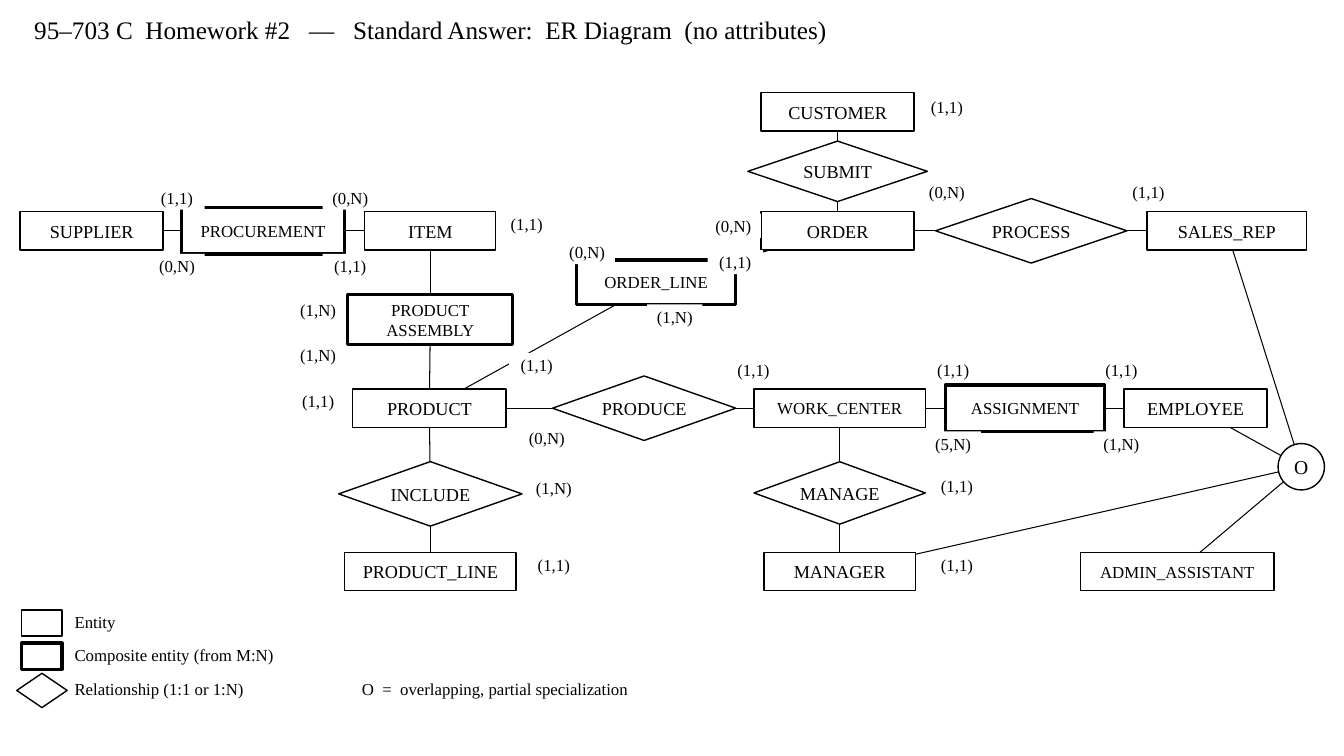
import pptx
import pptx.dml.color
import pptx.enum.shapes
import pptx.enum.text
import pptx.oxml.ns
import pptx.util
from lxml import etree

Pt = pptx.util.Pt
MSO_SHAPE = pptx.enum.shapes.MSO_SHAPE
MSO_ANCHOR = pptx.enum.text.MSO_ANCHOR
PP_ALIGN = pptx.enum.text.PP_ALIGN
INK, PAPER = "000000", "FFFFFF"
THIN, THICK, LINK = 1, 2.25, 0.75
RECT, DIAMOND, OVAL = MSO_SHAPE.RECTANGLE, MSO_SHAPE.DIAMOND, MSO_SHAPE.OVAL


def color(value):
    return pptx.dml.color.RGBColor.from_string(value)


class Diagram:
    font = "Times New Roman"

    def __init__(self, prs):
        self.s = prs.slides.add_slide(prs.slide_layouts[6])

    def set_text(self, sp, text, size, align, anchor, inset, wrap=True):
        tf = sp.text_frame
        tf.text = text
        tf.word_wrap = wrap
        tf.vertical_anchor = anchor
        tf.margin_left = tf.margin_right = Pt(inset[0])
        tf.margin_top = tf.margin_bottom = Pt(inset[1])
        for p in tf.paragraphs:
            p.alignment = align
            p.font.name = self.font
            p.font.size = Pt(size)
            p.font.color.rgb = color(INK)

    def text(self, x, y, w, h, text, size=12):
        sp = self.s.shapes.add_textbox(Pt(x), Pt(y), Pt(w), Pt(h))
        self.set_text(sp, text, size, PP_ALIGN.LEFT, MSO_ANCHOR.TOP, (2.9, 1.4))

    def shape(self, kind, cx, cy, w, h, line=None, text="", size=12, inset=(3.6, 1.4), wrap=True):
        sp = self.s.shapes.add_shape(kind, Pt(cx - w / 2), Pt(cy - h / 2), Pt(w), Pt(h))
        sp.shadow.inherit = False
        sp.fill.solid()
        sp.fill.fore_color.rgb = color(PAPER)
        if line:
            sp.line.color.rgb = color(INK)
            sp.line.width = Pt(line)
        else:
            sp.line.fill.background()
        if text:
            self.set_text(sp, text, size, PP_ALIGN.CENTER, MSO_ANCHOR.MIDDLE, inset, wrap)

    def entity(self, name, cx, cy, w, size=13):
        self.shape(RECT, cx, cy, w, 27.4, THIN, name, size)

    def composite(self, name, cx, cy, w, h):
        self.shape(RECT, cx, cy, w, h, THICK, name)

    def relationship(self, name, cx, cy, w, h):
        self.shape(DIAMOND, cx, cy, w, h, THIN, name, 13, (10.1, 1.4), False)

    def overlap(self, name, cx, cy, d):
        self.shape(OVAL, cx, cy, d, d, THIN, name, 14, (2.9, 1.4))

    def cardinality(self, text, x, y):
        w, h = 39.6, 17.3
        self.shape(RECT, x + w / 2, y + h / 2, w, h, text=text, inset=(0, 0), wrap=False)

    def link(self, start, end):
        ends = [Pt(v) for v in (*start, *end)]
        sp = self.s.shapes.add_connector(pptx.enum.shapes.MSO_CONNECTOR.STRAIGHT, *ends)
        sp.line.color.rgb = color(INK)
        sp.line.width = Pt(LINK)
        etree.SubElement(sp._element.spPr, pptx.oxml.ns.qn("a:effectLst"))


UPPER, MIDDLE, LOWER = 164.9, 291.6, 408.2

ENTITIES = {
    "SUPPLIER": (65.5, UPPER, 102.2),
    "ITEM": (307.4, UPPER, 93.6),
    "PRODUCT": (306.7, MIDDLE, 109.4),
    "PRODUCT_LINE": (307.4, LOWER, 122.4),
    "CUSTOMER": (598.3, 79.9, 109.4),
    "ORDER": (598.3, UPPER, 109.4),
    "SALES_REP": (876.2, UPPER, 113.8),
    "WORK_CENTER": (599.8, MIDDLE, 122.4, 12),
    "EMPLOYEE": (853.9, MIDDLE, 102.2),
    "MANAGER": (599.8, LOWER, 108),
    "ADMIN_ASSISTANT": (841, LOWER, 138.2, 12),
}
COMPOSITES = {
    "PROCUREMENT": (187.9, UPPER, 116.6, 33.1),
    "PRODUCT\nASSEMBLY": (307.4, 228.2, 118.1, 36),
    "ORDER_LINE": (468.7, 201.6, 113.8, 31.7),
    "ASSIGNMENT": (732.2, MIDDLE, 113.8, 33.1),
}
RELATIONSHIPS = {
    "INCLUDE": (307.4, 352.8, 131, 46.1),
    "SUBMIT": (598.3, 122.4, 128.2, 43.2),
    "PROCESS": (736.6, UPPER, 136.8, 46.1),
    "PRODUCE": (460.1, MIDDLE, 131, 46.1),
    "MANAGE": (599.8, 352.1, 122.4, 44.6),
}
OVERLAPS = {"O": (929.5, 333.4, 33.1)}

CHAINS = [
    ("SUPPLIER", "PROCUREMENT", "ITEM", "PRODUCT\nASSEMBLY", "PRODUCT", "INCLUDE", "PRODUCT_LINE"),
    ("CUSTOMER", "SUBMIT", "ORDER", "PROCESS", "SALES_REP"),
    ("ORDER", "ORDER_LINE", "PRODUCT", "PRODUCE", "WORK_CENTER", "ASSIGNMENT", "EMPLOYEE"),
    ("WORK_CENTER", "MANAGE", "MANAGER"),
    ("EMPLOYEE", "O", "SALES_REP"),
    ("MANAGER", "O", "ADMIN_ASSISTANT"),
]
CARDINALITIES = {
    "(1,1)": [
        (106.6, 132.5), (230.4, 181.4), (356.4, 151.2), (207.4, 277.9), (375.8, 394.6),
        (656.6, 67.7), (505.4, 178.6), (363.6, 252), (800.6, 128.2), (518.4, 255.6),
        (661, 255.6), (781.2, 255.6), (663.8, 338.4), (663.8, 394.6),
    ],
    "(0,N)": [
        (106.6, 181.4), (230.4, 132.5), (504, 152.6),
        (399.6, 171.4), (656.6, 128.2), (370.8, 303.8),
    ],
    "(1,N)": [
        (207.4, 212.4), (207.4, 244.8), (375.8, 339.8), (462.2, 217.4), (781.2, 308.2),
    ],
    "(5,N)": [(661, 308.2)],
}
LEGEND = [
    ("Entity", RECT, 445, 28.8, 18.7, THIN),
    ("Composite entity (from M:N)", RECT, 468.7, 28.8, 18.7, THICK),
    ("Relationship (1:1 or 1:N)", DIAMOND, 493.2, 36, 24.5, THIN),
]


def main():
    prs = pptx.Presentation()
    prs.slide_width, prs.slide_height = Pt(960), Pt(540)
    d = Diagram(prs)
    d.text(21.6, 8.6, 914.4, 25.9,
           "95–703 C  Homework #2   —   Standard Answer:  ER Diagram  (no attributes)", 18)

    nodes = {**ENTITIES, **COMPOSITES, **RELATIONSHIPS, **OVERLAPS}
    for chain in CHAINS:
        for a, b in zip(chain, chain[1:]):
            d.link(nodes[a][:2], nodes[b][:2])

    groups = [(d.entity, ENTITIES), (d.composite, COMPOSITES),
              (d.relationship, RELATIONSHIPS), (d.overlap, OVERLAPS)]
    for draw, group in groups:
        for name, box in group.items():
            draw(name, *box)

    for text, places in CARDINALITIES.items():
        for x, y in places:
            d.cardinality(text, x, y)

    for text, kind, cy, w, h, line in LEGEND:
        d.shape(kind, 30, cy, w, h, line)
        d.text(50.4, cy - 9.4, 201.6, 18.7, text)
    d.text(255.6, 483.8, 396, 18.7, "O  =  overlapping, partial specialization")

    prs.save("out.pptx")


if __name__ == "__main__":
    main()
